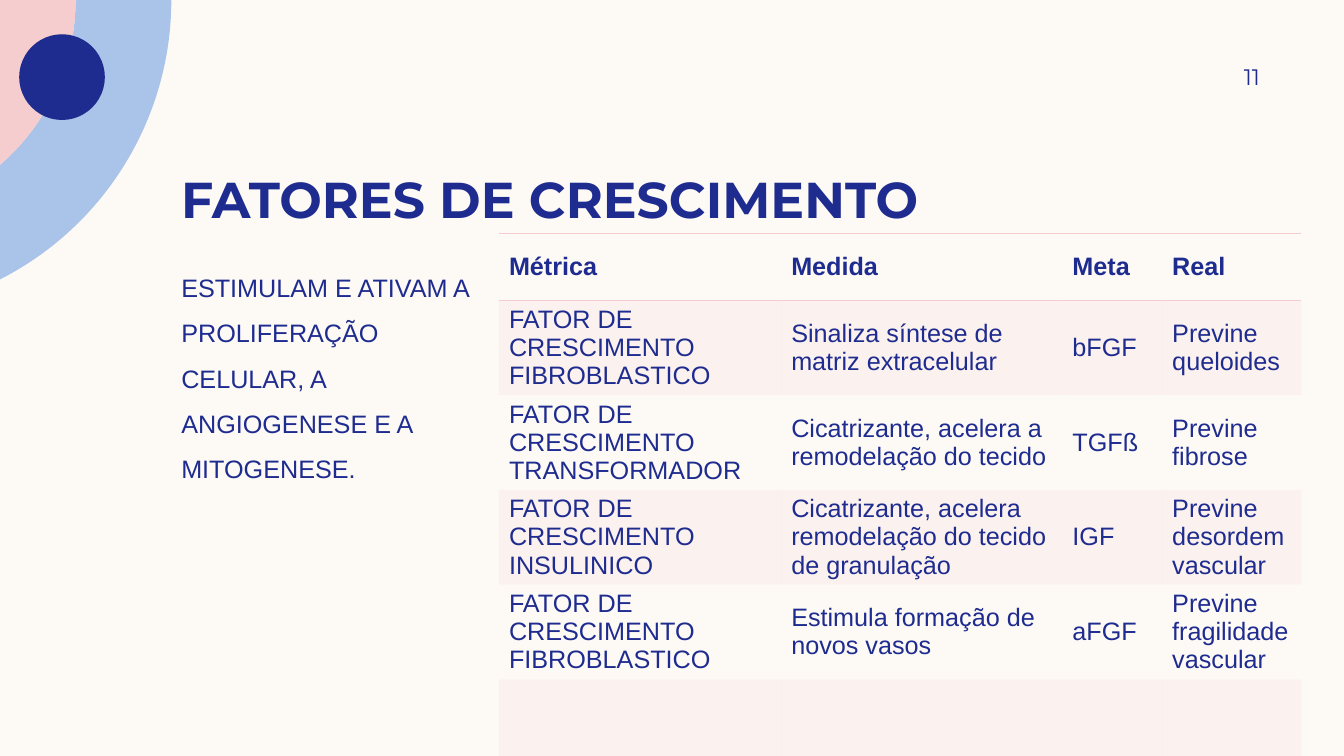
from math import acos, cos, sin, tan

from lxml.etree import SubElement
from pptx import Presentation
from pptx.dml.color import RGBColor
from pptx.enum.shapes import MSO_SHAPE as Shape
from pptx.enum.text import MSO_ANCHOR as Anchor, PP_ALIGN as Align
from pptx.oxml.ns import qn
from pptx.util import Inches, Pt

NAVY, BLUE, PINK, CREAM = "1F2C8F", "AAC3E8", "F5CDCE", "FDFAF6"
NO_STYLE = "{2D5ABB26-0587-4C30-8999-92F81FD0307C}"
HEAD = ["Métrica", "Medida", "Meta", "Real"]
ROWS = [
    ["FATOR DE CRESCIMENTO FIBROBLASTICO",
     "Sinaliza síntese de matriz extracelular", "bFGF", "Previne queloides"],
    ["FATOR DE CRESCIMENTO TRANSFORMADOR",
     "Cicatrizante, acelera a remodelação do tecido", "TGFß", "Previne fibrose"],
    ["FATOR DE CRESCIMENTO INSULINICO",
     "Cicatrizante, acelera remodelação do tecido de granulação", "IGF",
     "Previne desordem vascular"],
    ["FATOR DE CRESCIMENTO FIBROBLASTICO",
     "Estimula formação de novos vasos", "aFGF", "Previne fragilidade vascular"],
]


def color(code):
    """Return the colour for a hex string."""
    return RGBColor.from_string(code)


def paint(shape, code):
    """Give a shape a flat fill with no line or shadow."""
    shape.shadow.inherit = False
    shape.fill.solid()
    shape.fill.fore_color.rgb = color(code)
    shape.line.fill.background()


def write(para, text, size, font="Arial", bold=False):
    """Add one styled run to a paragraph."""
    run = para.add_run()
    run.text = text
    run.font.size, run.font.name, run.font.bold = Pt(size), font, bold
    run.font.color.rgb = color(NAVY)


def label(slide, box, text, size, font="Arial", bold=False, anchor=Anchor.TOP,
          align=Align.LEFT, space=1.0, pads=(0.1, 0, 0.1, 0)):
    """Place a wrapped text box."""
    frame = slide.shapes.add_textbox(*map(Inches, box)).text_frame
    frame.word_wrap = True
    frame.vertical_anchor = anchor
    (frame.margin_left, frame.margin_top,
     frame.margin_right, frame.margin_bottom) = map(Inches, pads)
    para = frame.paragraphs[0]
    para.alignment, para.line_spacing = align, space
    write(para, text, size, font, bold)


def arc(mid, top, left, radius):
    """Return start, two handles and end of a curve from top to left edge."""
    turn = acos((left - mid) / radius)
    pull = radius * 4 / 3 * tan(turn / 4)
    x, y = left, top + radius * sin(turn)
    return [(mid + radius, top), (mid + radius, top + pull),
            (x + pull * sin(turn), y - pull * cos(turn)), (x, y)]


def outline(slide, points, bends, code):
    """Draw a closed outline, with curves whose first handles are at bends."""
    spots = [(Inches(x), Inches(y)) for x, y in points]
    form = slide.shapes.build_freeform(*spots[0], scale=1.0)
    form.add_line_segments(spots[1:], close=True)
    shape = form.convert_to_shape()
    lines = list(shape._element.iter(qn("a:lnTo")))
    for bend in bends:
        first, *rest = lines[bend - 1:bend + 2]
        first.tag
        curve = SubElement(first.getparent(), qn("a:cubicBezTo"))
        first.addprevious(curve)
        for line in (first, *rest):
            curve.append(line[0])
            line.getparent().remove(line)
    paint(shape, code)


def corner(slide, left, top):
    """Draw the rings and the dot in the corner."""
    mid = left - 1.41
    inner, outer = (arc(mid, top, left, size) for size in (2.16, 3.11))
    outline(slide, outer + inner[::-1], (1, 5), BLUE)
    outline(slide, [(left, top)] + inner, (2,), PINK)
    dot = slide.shapes.add_shape(
        Shape.OVAL, *map(Inches, (left + 0.19, top + 0.34, 0.85, 0.85)))
    paint(dot, NAVY)


def border(cell, side):
    """Draw a one-point pink line on one side of a cell."""
    line = SubElement(cell._tc.get_or_add_tcPr(), qn("a:" + side), w=str(Pt(1)))
    fill = SubElement(line, qn("a:solidFill"))
    SubElement(fill, qn("a:srgbClr"), val=PINK)


def shade(cell):
    """Fill a cell with pale pink."""
    cell.fill.solid()
    cell.fill.fore_color.rgb = color(PINK)
    tone = cell._tc.tcPr.find(qn("a:solidFill"))[0]
    SubElement(tone, qn("a:alpha"), val="20000")


def factors(slide, box):
    """Build the table of growth factors."""
    data = [HEAD, *ROWS, [""] * len(HEAD)]
    last = len(data) - 1
    table = slide.shapes.add_table(
        len(data), len(HEAD), *map(Inches, box)).table
    table._tbl.tblPr.find(qn("a:tableStyleId")).text = NO_STYLE
    table.first_row = table.horz_banding = False
    for col, width in zip(table.columns, (2.8, 2.79, 0.99, 1.38)):
        col.width = Inches(width)
    for row, height in zip(table.rows, (0.66, 0.66, 0.7, 0.66, 0.66, 0.89)):
        row.height = Inches(height)
    for i, texts in enumerate(data):
        for j, text in enumerate(texts):
            cell = table.cell(i, j)
            cell.vertical_anchor = Anchor.MIDDLE
            cell.margin_top = cell.margin_bottom = Inches(0.02)
            if i == 0:
                border(cell, "lnT")
            if i in (0, last):
                border(cell, "lnB")
            if i % 2:
                shade(cell)
            else:
                cell.fill.background()
            if text:
                write(cell.text_frame.paragraphs[0], text, 18, bold=i == 0)


def main():
    """Build and save the slide."""
    deck = Presentation()
    deck.slide_width, deck.slide_height = Inches(40 / 3), Inches(7.5)
    slide = deck.slides.add_slide(deck.slide_layouts[6])
    slide.background.fill.solid()
    slide.background.fill.fore_color.rgb = color(CREAM)
    corner(slide, 0, 0)
    label(slide, (1.7, 1.2, 10.8, 1.07), "FATORES DE CRESCIMENTO", 36,
          "Montserrat", True, Anchor.BOTTOM)
    label(slide, (1.7, 2.55, 3.25, 4.05),
          "ESTIMULAM E ATIVAM A PROLIFERAÇÃO CELULAR, A ANGIOGENESE E A "
          "MITOGENESE.", 18, space=1.5)
    factors(slide, (4.95, 2.32, 7.96, 4.23))
    label(slide, (11.33, 0.5, 1.17, 0.52), "11", 16, "Montserrat",
          anchor=Anchor.MIDDLE, align=Align.RIGHT, pads=(0.1, 0.05, 0, 0.05))
    deck.save("out.pptx")


if __name__ == "__main__":
    main()
